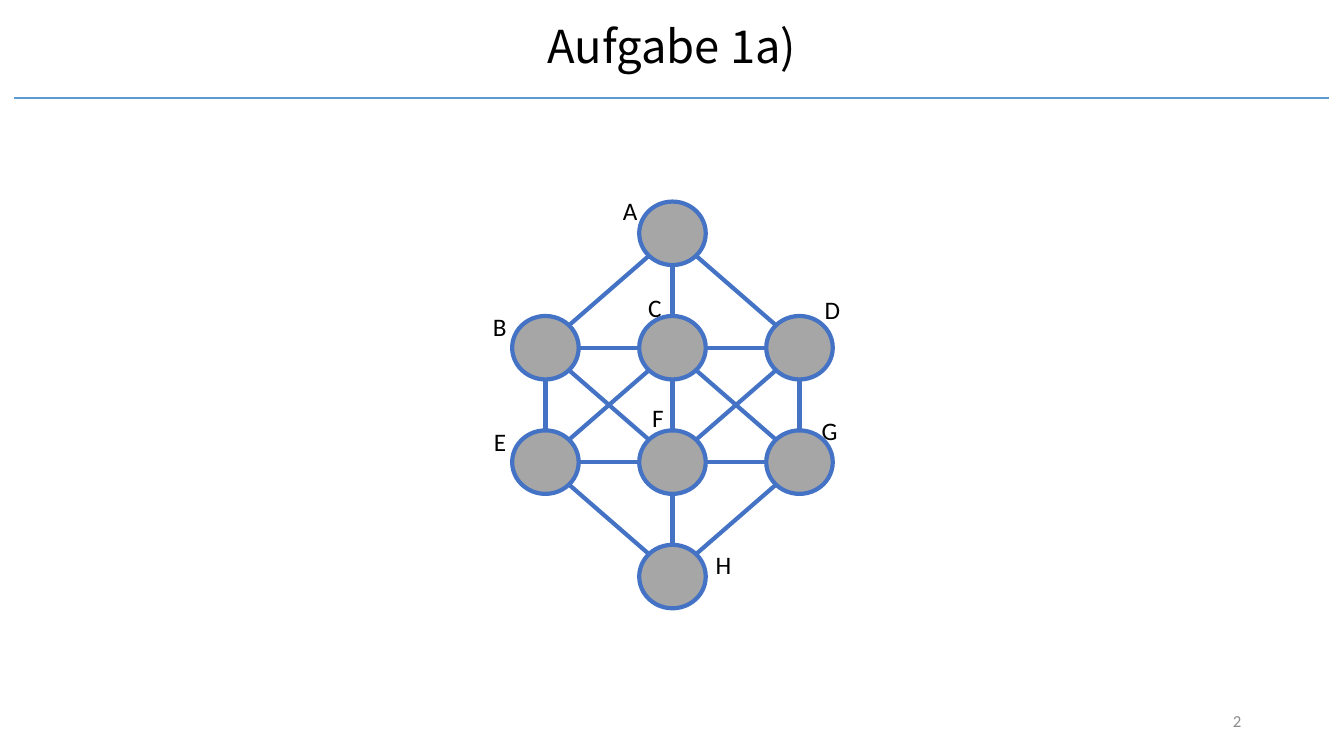
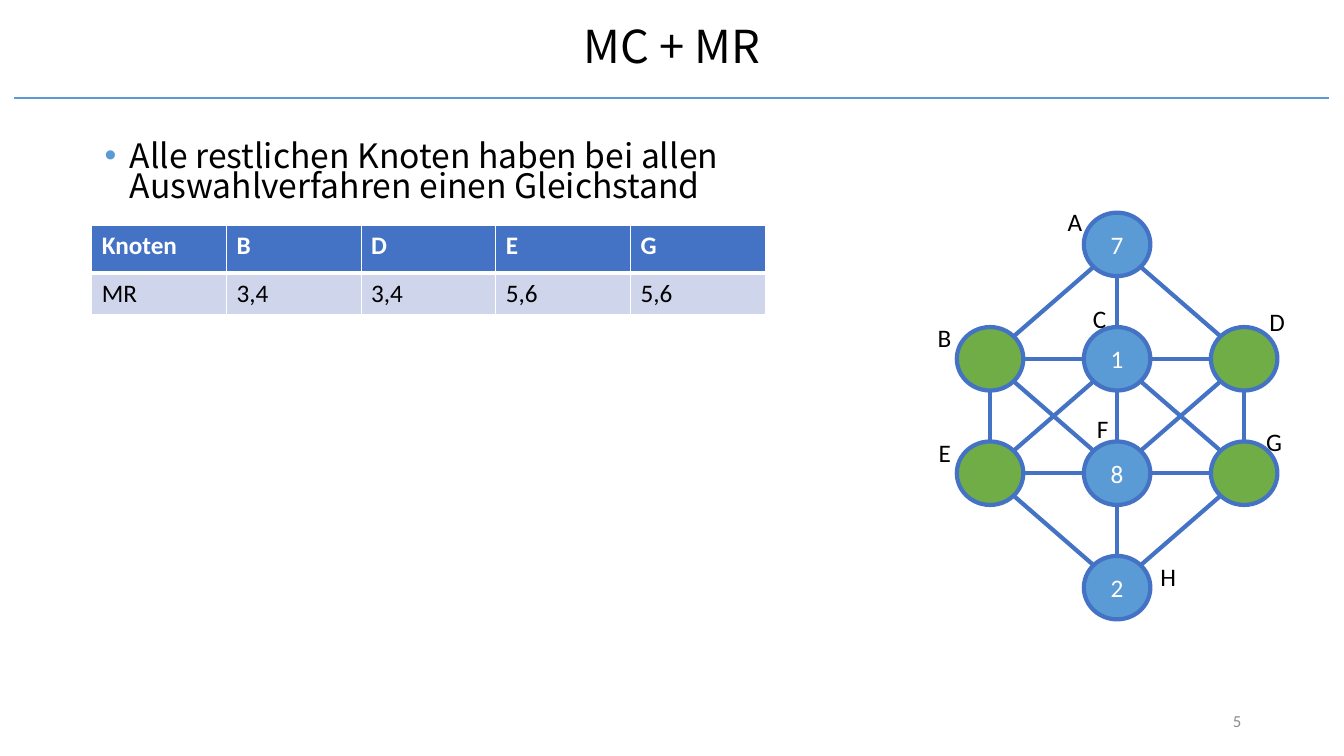
import math

import pptx
import pptx.dml.color
import pptx.enum.dml
import pptx.enum.shapes
import pptx.enum.text
import pptx.oxml
import pptx.oxml.ns
import pptx.util

RGBColor = pptx.dml.color.RGBColor
Inches = pptx.util.Inches
Pt = pptx.util.Pt
PP_ALIGN = pptx.enum.text.PP_ALIGN
MSO_ANCHOR = pptx.enum.text.MSO_ANCHOR

BLACK = RGBColor(0x00, 0x00, 0x00)
WHITE = RGBColor(0xFF, 0xFF, 0xFF)
GREY = RGBColor(0xA6, 0xA6, 0xA6)
NUMBER_GREY = RGBColor(0x8C, 0x8C, 0x8C)
BLUE = RGBColor(0x44, 0x72, 0xC4)
LIGHT_BLUE = RGBColor(0x5B, 0x9B, 0xD5)
GREEN = RGBColor(0x70, 0xAD, 0x47)
CELL_BLUE = RGBColor(0xCF, 0xD5, 0xEA)

TITLE_FONT = "Noto Sans CJK SC"
BODY_FONT = "Calibri"

SLIDE_WIDTH, SLIDE_HEIGHT = 13.33, 7.5
MARGIN = 0.92
CONTENT_WIDTH = SLIDE_WIDTH - 2 * MARGIN

# Graph grid: column and row of each node
NODES = {"A": (1, 0), "B": (0, 1), "C": (1, 1), "D": (2, 1),
         "E": (0, 2), "F": (1, 2), "G": (2, 2), "H": (1, 3)}
EDGES = "AB AC AD BC CD BE BF CE CF CG DF DG EF FG EH FH GH".split()
# Label position relative to the node's top left corner
LABEL_OFFSETS = {"A": (-0.26, -0.11), "B": (-0.29, -0.1), "C": (-0.01, -0.28),
                 "D": (0.48, -0.26), "E": (-0.28, -0.09), "F": (0.03, -0.33),
                 "G": (0.45, -0.2), "H": (0.66, 0)}
COLUMN_STEP, ROW_STEP = 1.26, 1.135
NODE_WIDTH, NODE_HEIGHT = 0.66, 0.63


def style_font(font, size, color, name=BODY_FONT, bold=False):
    font.name, font.size, font.bold = name, Pt(size), bold
    font.color.rgb = color


def add_text(shapes, text, left, top, width, height, size, color=BLACK,
             name=BODY_FONT, align=PP_ALIGN.LEFT, anchor=MSO_ANCHOR.TOP,
             wrap=True):
    box = shapes.add_textbox(*map(Inches, (left, top, width, height)))
    frame = box.text_frame
    frame.word_wrap = wrap
    frame.vertical_anchor = anchor
    para = frame.paragraphs[0]
    para.text = text
    para.alignment = align
    style_font(para.font, size, color, name)
    return box


def add_line(shapes, start, end, color, weight):
    line = shapes.add_connector(pptx.enum.shapes.MSO_CONNECTOR.STRAIGHT,
                                *map(Inches, (*start, *end)))
    line.line.color.rgb = color
    line.line.width = Pt(weight)
    pptx.oxml.ns.qn("a:effectLst")
    properties = line._element.spPr
    properties.append(properties.makeelement(pptx.oxml.ns.qn("a:effectLst")))


def add_page(deck, title, number):
    """Add a blank page with the shared title, rule and page number."""
    page = deck.slides.add_slide(deck.slide_layouts[6])
    add_line(page.shapes, (0.14, 0.97), (13.18, 0.97), LIGHT_BLUE, 1.5)
    heading = add_text(page.shapes, title, MARGIN, 0.17, CONTENT_WIDTH, 0.63,
                       32.4, name=TITLE_FONT, align=PP_ALIGN.CENTER,
                       anchor=MSO_ANCHOR.MIDDLE)
    heading.text_frame.paragraphs[0].line_spacing = 0.9
    add_text(page.shapes, str(number), SLIDE_WIDTH - MARGIN - 3, 6.95, 3, 0.4,
             12, NUMBER_GREY, align=PP_ALIGN.RIGHT, anchor=MSO_ANCHOR.MIDDLE)
    return page


def rim_point(center, step):
    """Return where an edge in the direction of step leaves a node."""
    length = math.hypot(*step)
    return (center[0] + step[0] / length * NODE_WIDTH / 2,
            center[1] + step[1] / length * NODE_HEIGHT / 2)


def add_edge(shapes, centers, first, second):
    step = [b - a for a, b in zip(NODES[first], NODES[second])]
    back = [-part for part in step]
    add_line(shapes, rim_point(centers[first], step),
             rim_point(centers[second], back), BLUE, 3)


def add_node(shapes, left, top, fill, value):
    node = shapes.add_shape(pptx.enum.shapes.MSO_SHAPE.OVAL,
                            *map(Inches, (left, top, NODE_WIDTH, NODE_HEIGHT)))
    node.shadow.inherit = False
    node.fill.solid()
    node.fill.fore_color.rgb = fill
    node.line.color.rgb = BLUE
    node.line.width = Pt(3)
    if value:
        frame = node.text_frame
        frame.vertical_anchor = MSO_ANCHOR.MIDDLE
        para = frame.paragraphs[0]
        para.text = value
        para.alignment = PP_ALIGN.CENTER
        style_font(para.font, 18, WHITE)


def add_graph(page, left, top, open_fill, values):
    """Draw the graph; nodes with a value are blue, others open_fill."""
    shapes = page.shapes.add_group_shape().shapes
    corners = {name: (left + column * COLUMN_STEP, top + row * ROW_STEP)
               for name, (column, row) in NODES.items()}
    centers = {name: (x + NODE_WIDTH / 2, y + NODE_HEIGHT / 2)
               for name, (x, y) in corners.items()}
    for first, second in EDGES:
        add_edge(shapes, centers, first, second)
    for name, (x, y) in corners.items():
        value = values.get(name)
        add_node(shapes, x, y, LIGHT_BLUE if value else open_fill, value)
    for name, (x, y) in corners.items():
        shift_x, shift_y = LABEL_OFFSETS[name]
        label = add_text(shapes, name, x + shift_x, y + shift_y, 0.35, 0.4, 18,
                         wrap=False)
        label.text_frame.auto_size = (
            pptx.enum.text.MSO_AUTO_SIZE.SHAPE_TO_FIT_TEXT)


def add_bullet(page, text):
    box = add_text(page.shapes, "", 0.94, 1.39, 8.27, 0.85, 24)
    para = box.text_frame.paragraphs[0]
    para.text = text
    para.line_spacing = 0.74
    properties = para._p.get_or_add_pPr()
    properties.set("marL", str(Inches(0.25)))
    properties.set("indent", str(-Inches(0.25)))
    namespace = pptx.oxml.ns.nsdecls("a")
    bullet_parts = (
        f'<a:buClr {namespace}><a:srgbClr val="{LIGHT_BLUE}"/></a:buClr>',
        f'<a:buFont {namespace} typeface="Arial"/>',
        f'<a:buChar {namespace} char="•"/>')
    run_defaults = properties.find(pptx.oxml.ns.qn("a:defRPr"))
    for part in bullet_parts:
        run_defaults.addprevious(pptx.oxml.parse_xml(part))
    style_font(para.font, 24, BLACK, TITLE_FONT)


def set_borders(cell, weights):
    """Give a cell white borders; weights maps L, R, T, B to points."""
    properties = cell._tc.get_or_add_tcPr()
    for side, weight in weights.items():
        properties.append(pptx.oxml.parse_xml(
            f'<a:ln{side} {pptx.oxml.ns.nsdecls("a")} w="{Pt(weight)}">'
            f'<a:solidFill><a:srgbClr val="{WHITE}"/></a:solidFill>'
            f'</a:ln{side}>'))


def add_table(page, rows, left, top, column_width, row_heights):
    columns = len(rows[0])
    table = page.shapes.add_table(
        len(rows), columns, Inches(left), Inches(top),
        Inches(column_width * columns), Inches(sum(row_heights))).table
    for column in table.columns:
        column.width = Inches(column_width)
    for index, (texts, height) in enumerate(zip(rows, row_heights)):
        header = index == 0
        table.rows[index].height = Inches(height)
        for cell, text in zip(table.rows[index].cells, texts):
            set_borders(cell, {"L": 1, "R": 1, "T": 3 if index == 1 else 1,
                               "B": 3 if header else 1})
            cell.fill.solid()
            cell.fill.fore_color.rgb = BLUE if header else CELL_BLUE
            cell.text = text
            style_font(cell.text_frame.paragraphs[0].font, 18,
                       WHITE if header else BLACK, bold=header)


def main():
    deck = pptx.Presentation()
    deck.slide_width = Inches(SLIDE_WIDTH)
    deck.slide_height = Inches(SLIDE_HEIGHT)

    task = add_page(deck, "Aufgabe 1a)", 2)
    add_graph(task, 5.08, 2, GREY, {})

    ranking = add_page(deck, "MC + MR", 5)
    add_bullet(ranking, "Alle restlichen Knoten haben bei allen "
                        "Auswahlverfahren einen Gleichstand")
    add_graph(ranking, 9.49, 2.11, GREEN,
              {"A": "7", "C": "1", "F": "8", "H": "2"})
    add_table(ranking, [["Knoten", "B", "D", "E", "G"],
                        ["MR", "3,4", "3,4", "5,6", "5,6"]],
              0.91, 2.24, 1.336, (0.47, 0.41))

    deck.save("out.pptx")


if __name__ == "__main__":
    main()
